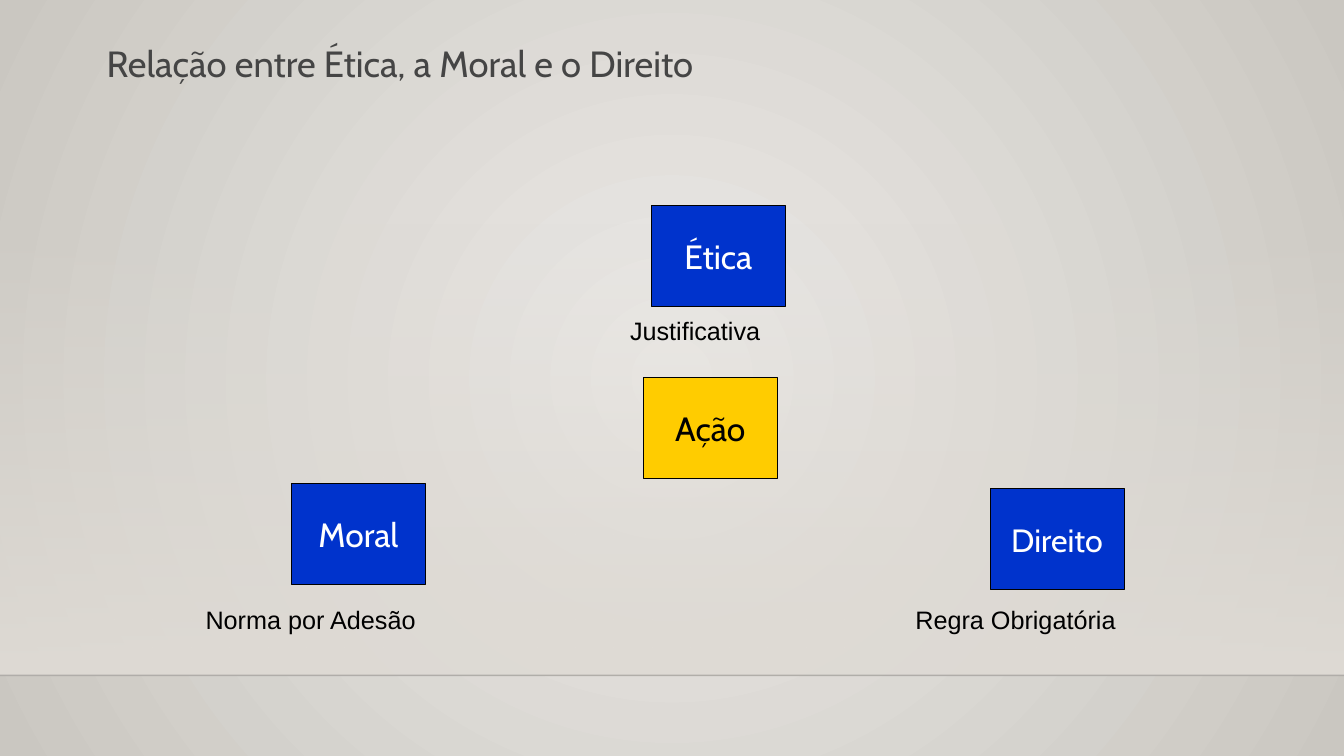
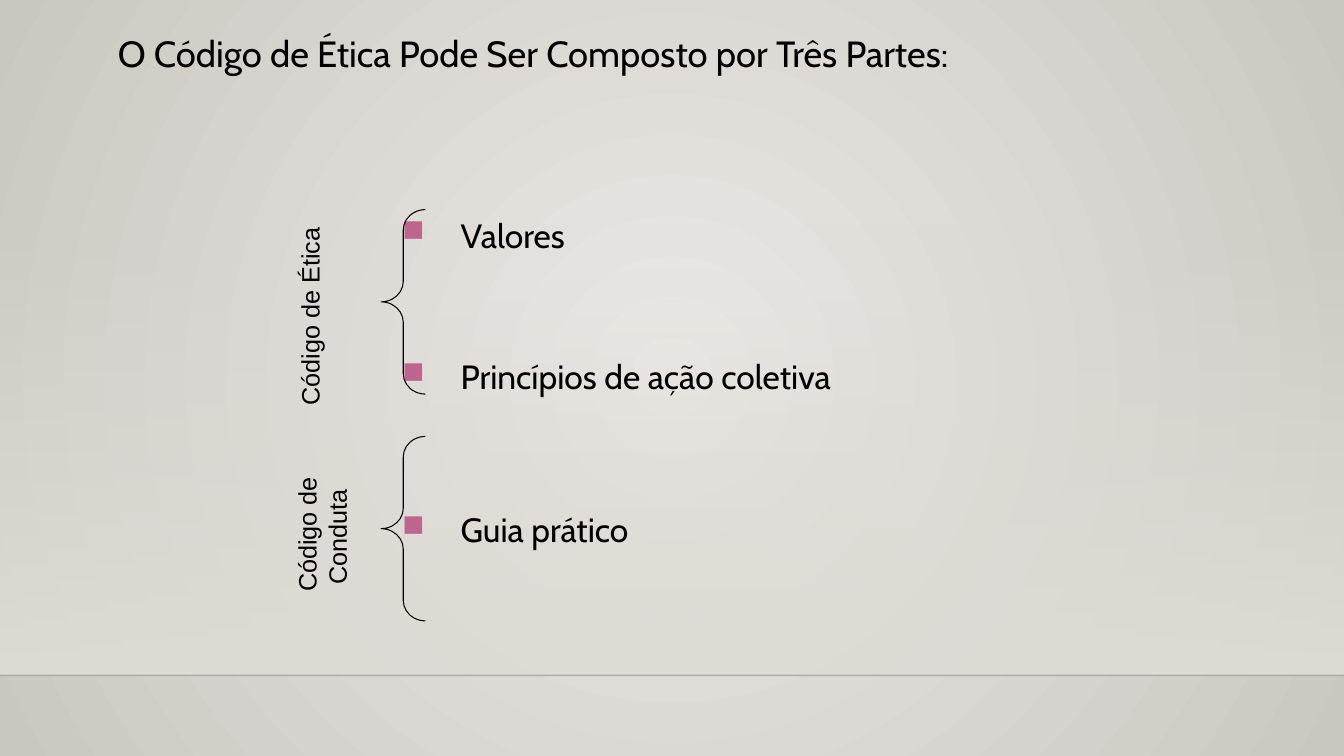
from lxml import etree
from pptx import Presentation
from pptx.dml.color import RGBColor
from pptx.enum import shapes, text
from pptx.oxml.ns import qn
from pptx.util import Inches, Pt

BLACK, WHITE, BLUE, GOLD = "000000", "FFFFFF", "0033CC", "FFCC00"
GLOW, EDGE, FADE, PINK = "ECEAE7", "CAC7C1", "DFDBD5", "BC658E"
HEAD, BODY = "Cabin", "Arial"
WIDE, HIGH, FLOOR = 13.33, 7.5, 6.7
BOX = (1.33, 1)
BRACE = (0.44, 1.83)

TITLES = [
    ("Relação entre Ética, a Moral e o Direito", (0.96, 0.36, 9.49, 0.53), "454545"),
    ("O Código de Ética Pode Ser Composto por Três Partes:", (1.07, 0.26, 9.17, 0.54), BLACK),
]
BOXES = [
    ("Ética", 6.46, 2.04, BLUE, WHITE, 24),
    ("Moral", 2.89, 4.8, BLUE, WHITE, 24),
    ("Direito", 9.82, 4.85, BLUE, WHITE, 23),
    ("Ação", 6.38, 3.75, GOLD, BLACK, 24),
]
NOTES = [
    ("Justificativa", (6.15, 3.08, 1.51, 0.4)),
    ("Norma por Adesão", (1.94, 5.95, 2.31, 0.4)),
    ("Regra Obrigatória", (8.98, 5.95, 2.21, 0.4)),
]
LISTS = [
    (["Valores", "Princípios de ação coletiva"], (3.89, 2.08, 8.22, 1.75)),
    (["Guia prático"], (3.89, 5, 8.22, 0.75)),
]
BRACES = [(3.78, 2.08), (3.78, 4.33)]
SIDES = [
    (["Código de Ética"], (2.08, 2.93, 1.98, 0.4)),
    (["Código de", " Conduta"], (2.52, 4.94, 1.35, 0.71)),
]


def rgb(code):
    return RGBColor.from_string(code)


def inch(spot):
    return [Inches(n) for n in spot]


def blend(fill, first, last):
    fill.gradient()
    for stop, code in zip(fill.gradient_stops, (first, last)):
        stop.color.rgb = rgb(code)


def alpha(node, share):
    color = next(node.iter(qn("a:srgbClr")))
    etree.SubElement(color, qn("a:alpha")).set("val", str(share * 1000))


def backdrop(master):
    blend(master.background.fill, GLOW, EDGE)
    grad = next(master.element.iter(qn("a:gradFill")))
    grad.remove(grad.find(qn("a:lin")))
    ring = etree.SubElement(grad, qn("a:path"))
    ring.set("path", "circle")
    rect = etree.SubElement(ring, qn("a:fillToRect"))
    for side in "ltrb":
        rect.set(side, "50000")


def shape(slide, kind, spot, line=BLACK):
    item = slide.shapes.add_shape(kind, *inch(spot))
    item.shadow.inherit = False
    if line:
        item.line.color.rgb = rgb(line)
        item.line.width = Pt(0.75)
    else:
        item.line.fill.background()
    return item


def write(frame, lines, size, font, color, align=text.PP_ALIGN.LEFT):
    for i, words in enumerate(lines):
        para = frame.add_paragraph() if i else frame.paragraphs[0]
        para.text = words
        para.alignment = align
        para.font.size = Pt(size)
        para.font.name = font
        para.font.color.rgb = rgb(color)


def label(slide, lines, spot, size=18, font=BODY, color=BLACK, wrap=False):
    item = slide.shapes.add_textbox(*inch(spot))
    frame = item.text_frame
    frame.word_wrap = wrap
    if not wrap:
        frame.auto_size = text.MSO_AUTO_SIZE.SHAPE_TO_FIT_TEXT
    write(frame, lines, size, font, color)
    return item


def bullets(slide, lines, spot):
    item = label(slide, lines, spot, 24, HEAD, wrap=True)
    for i, para in enumerate(item.text_frame.paragraphs):
        para.alignment = text.PP_ALIGN.JUSTIFY
        if i:
            para.space_before = Pt(72)
        props = para._p.get_or_add_pPr()
        props.set("marL", str(Inches(0.58)))
        props.set("indent", str(Inches(-0.58)))
        mark = etree.Element(qn("a:buClr"))
        etree.SubElement(mark, qn("a:srgbClr")).set("val", PINK)
        size = etree.Element(qn("a:buSzPct"), val="90000")
        char = etree.Element(qn("a:buChar"), char="■")
        after = props.find(qn("a:defRPr"))
        for node in (mark, size, char):
            after.addprevious(node)


def base(deck, words, spot, color):
    slide = deck.slides.add_slide(deck.slide_layouts[6])
    band = shape(slide, shapes.MSO_SHAPE.RECTANGLE, (0, 2.21, WIDE, FLOOR - 2.21), None)
    blend(band.fill, FADE, FADE)
    band.fill.gradient_angle = 270
    alpha(band.element, 0)
    rule = slide.shapes.add_connector(
        shapes.MSO_CONNECTOR.STRAIGHT, *inch((0, FLOOR, WIDE, FLOOR)))
    rule.line.color.rgb = rgb("000001")
    rule.line.width = Pt(1)
    alpha(rule.element, 20)
    etree.SubElement(rule.element.spPr, qn("a:effectLst"))
    title = label(slide, [words], spot, 26, HEAD, color, True)
    title.text_frame.vertical_anchor = text.MSO_ANCHOR.MIDDLE
    return slide


def relation(slide):
    for words, x, y, fill, color, size in BOXES:
        item = shape(slide, shapes.MSO_SHAPE.RECTANGLE, (x, y, *BOX))
        item.fill.solid()
        item.fill.fore_color.rgb = rgb(fill)
        item.text_frame.word_wrap = False
        write(item.text_frame, [words], size, HEAD, color, text.PP_ALIGN.CENTER)
    for words, spot in NOTES:
        label(slide, [words], spot)


def parts(slide):
    for lines, spot in LISTS:
        bullets(slide, lines, spot)
    for x, y in BRACES:
        item = shape(slide, shapes.MSO_SHAPE.LEFT_BRACE, (x, y, *BRACE))
        item.fill.background()
        item.adjustments[0] = 0.46
    for lines, spot in SIDES:
        label(slide, lines, spot).rotation = 270


def main():
    deck = Presentation()
    deck.slide_width, deck.slide_height = inch((WIDE, HIGH))
    backdrop(deck.slide_master)
    for title, draw in zip(TITLES, (relation, parts)):
        draw(base(deck, *title))
    deck.save("out.pptx")


if __name__ == "__main__":
    main()
